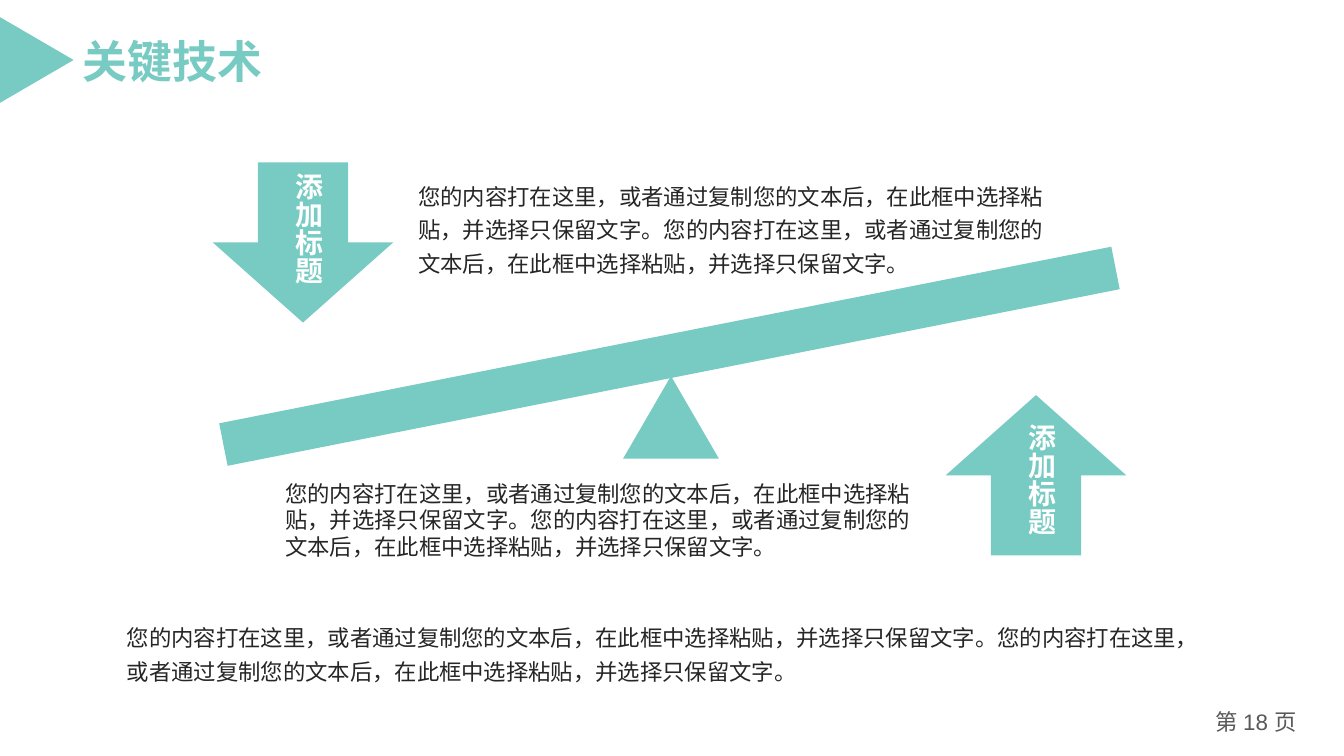
from lxml.etree import SubElement
from pptx import Presentation
from pptx.dml.color import RGBColor
from pptx.enum.shapes import MSO_SHAPE
from pptx.enum.text import MSO_ANCHOR, MSO_AUTO_SIZE, PP_ALIGN
from pptx.oxml.ns import qn
from pptx.util import Inches, Pt

TEAL = RGBColor(0x77, 0xCB, 0xC3)
INK = RGBColor(0x26, 0x26, 0x26)
GREY = RGBColor(0x59, 0x59, 0x59)
WHITE = RGBColor(0xFF, 0xFF, 0xFF)
CJK = "Noto Sans CJK SC"
LATIN = "Arial"
SENTENCE = "您的内容打在这里，或者通过复制您的文本后，在此框中选择粘贴，并选择只保留文字。"


class SlideBuilder:
    """Hold the teal style and the slide, and add each kind of element."""

    def __init__(self, prs):
        self.s = prs.slides.add_slide(prs.slide_layouts[5])

    def style(self, p, size, color, bold=False, name=CJK, align=PP_ALIGN.LEFT):
        p.alignment = align
        f = p.font
        f.size, f.bold, f.name = Pt(size), bold, name
        f.color.rgb = color
        SubElement(p._p.pPr.find(qn("a:defRPr")), qn("a:ea"), typeface=CJK)

    def title(self, text, x, y, w, h):
        sp = self.s.shapes.title
        sp.left, sp.top, sp.width, sp.height = map(Inches, (x, y, w, h))
        tf = sp.text_frame
        tf.text = text
        tf.word_wrap = False
        tf.auto_size = MSO_AUTO_SIZE.NONE
        tf.vertical_anchor = MSO_ANCHOR.TOP
        tf.margin_left = tf.margin_right = Inches(0.13)
        tf.margin_top = tf.margin_bottom = Inches(0.07)
        self.style(tf.paragraphs[0], 32, TEAL, True, LATIN)

    def shape(self, kind, x, y, w, h, rotation=0):
        sp = self.s.shapes.add_shape(kind, *map(Inches, (x, y, w, h)))
        sp.rotation = rotation
        sp.shadow.inherit = False
        sp.fill.solid()
        sp.fill.fore_color.rgb = TEAL
        sp.line.fill.background()

    def text_box(self, x, y, w, h):
        sp = self.s.shapes.add_textbox(*map(Inches, (x, y, w, h)))
        sp.text_frame.word_wrap = True
        return sp.text_frame

    def body(self, x, y, w, h, spacing=1.0):
        p = self.text_box(x, y, w, h).paragraphs[0]
        p.text = SENTENCE * 2
        p.line_spacing = spacing
        self.style(p, 16, INK)

    def arrow(self, x, y, label_y, rotation=0):
        w, label_w = 1.79, 0.54
        self.shape(MSO_SHAPE.DOWN_ARROW, x, y, w, 1.59, rotation)
        tf = self.text_box(x + (w - label_w) / 2, label_y, label_w, 1.37)
        tf._txBody.bodyPr.set("vert", "eaVert")
        p = tf.paragraphs[0]
        p.text = "添加标题"
        self.style(p, 20, WHITE, True, align=PP_ALIGN.CENTER)

    def page_number(self, x, y, w, h):
        p = self.text_box(x, y, w, h).paragraphs[0]
        for text, name in (("第 ", CJK), ("18 ", LATIN), ("页", CJK)):
            r = p.add_run()
            r.text = text
            r.font.name = name
        self.style(p, 16, GREY, align=PP_ALIGN.CENTER)


def main():
    prs = Presentation()
    prs.slide_width, prs.slide_height = Inches(13.33), Inches(7.5)
    b = SlideBuilder(prs)
    b.title("关键技术", 0.69, 0.26, 2.06, 0.67)
    b.shape(MSO_SHAPE.ISOSCELES_TRIANGLE, -0.06, 0.23, 0.85, 0.73, 90)
    b.body(4.05, 1.7, 6.49, 1.11, 1.25)
    b.body(2.73, 4.71, 6.62, 0.91)
    b.shape(MSO_SHAPE.RECTANGLE, 2.13, 3.32, 9.02, 0.43, 348.8)
    b.arrow(2.11, 1.61, 1.62)
    b.arrow(9.38, 3.92, 4.11, 180)
    b.shape(MSO_SHAPE.ISOSCELES_TRIANGLE, 6.18, 3.73, 0.95, 0.82)
    b.body(1.16, 6.08, 10.99, 0.77, 1.25)
    b.page_number(11.86, 6.98, 1.2, 0.4)
    prs.save("out.pptx")


if __name__ == "__main__":
    main()
